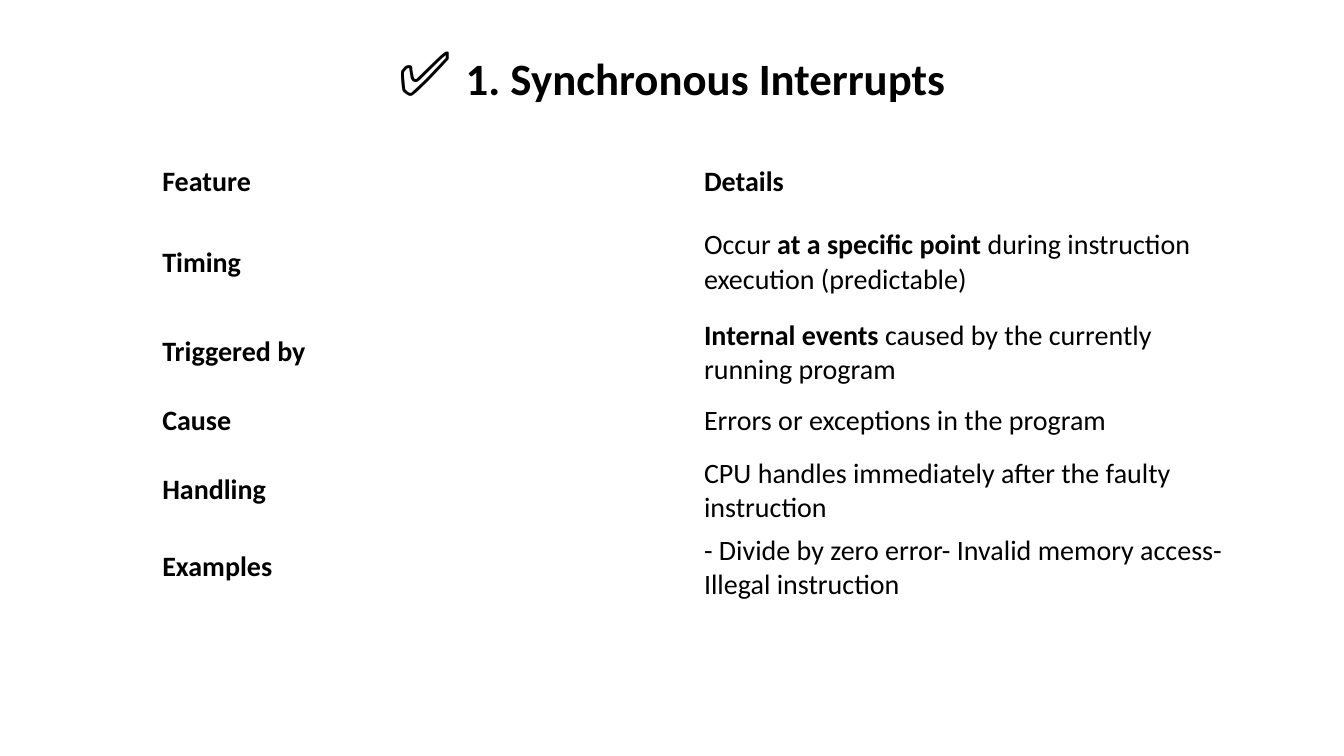
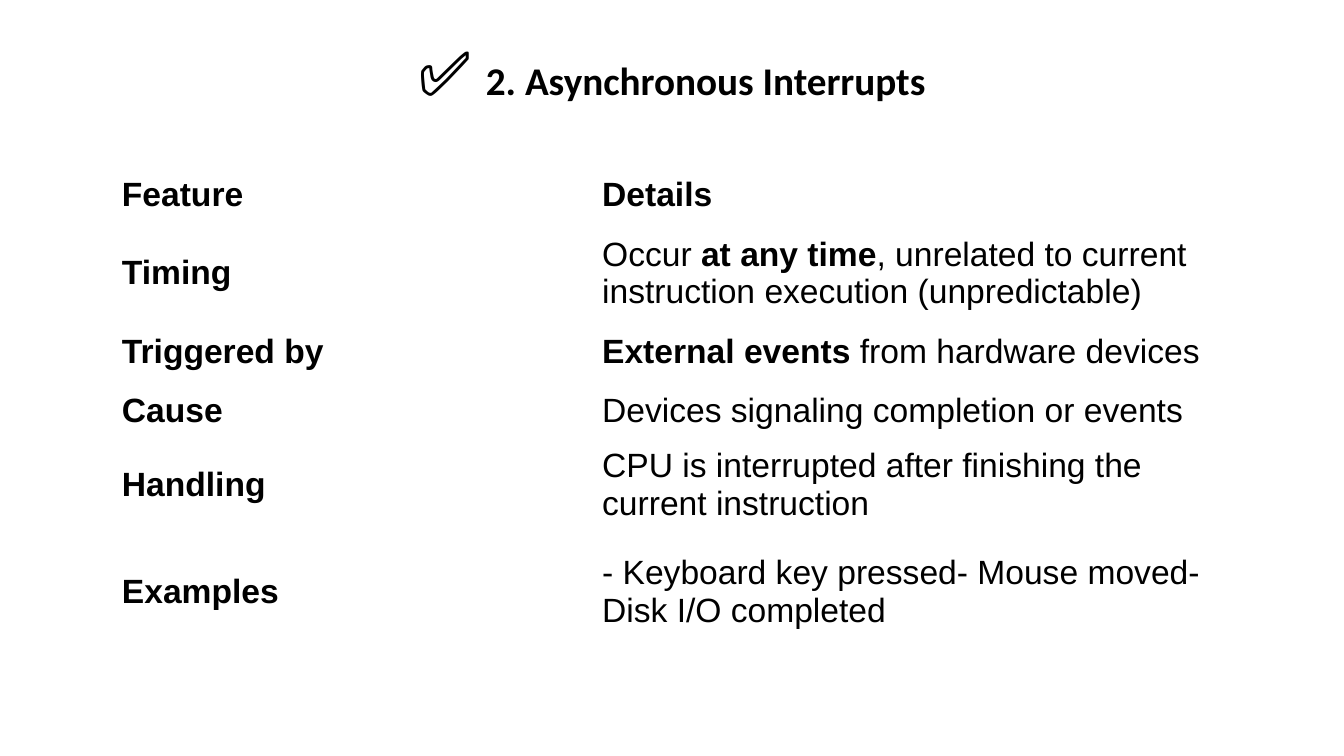
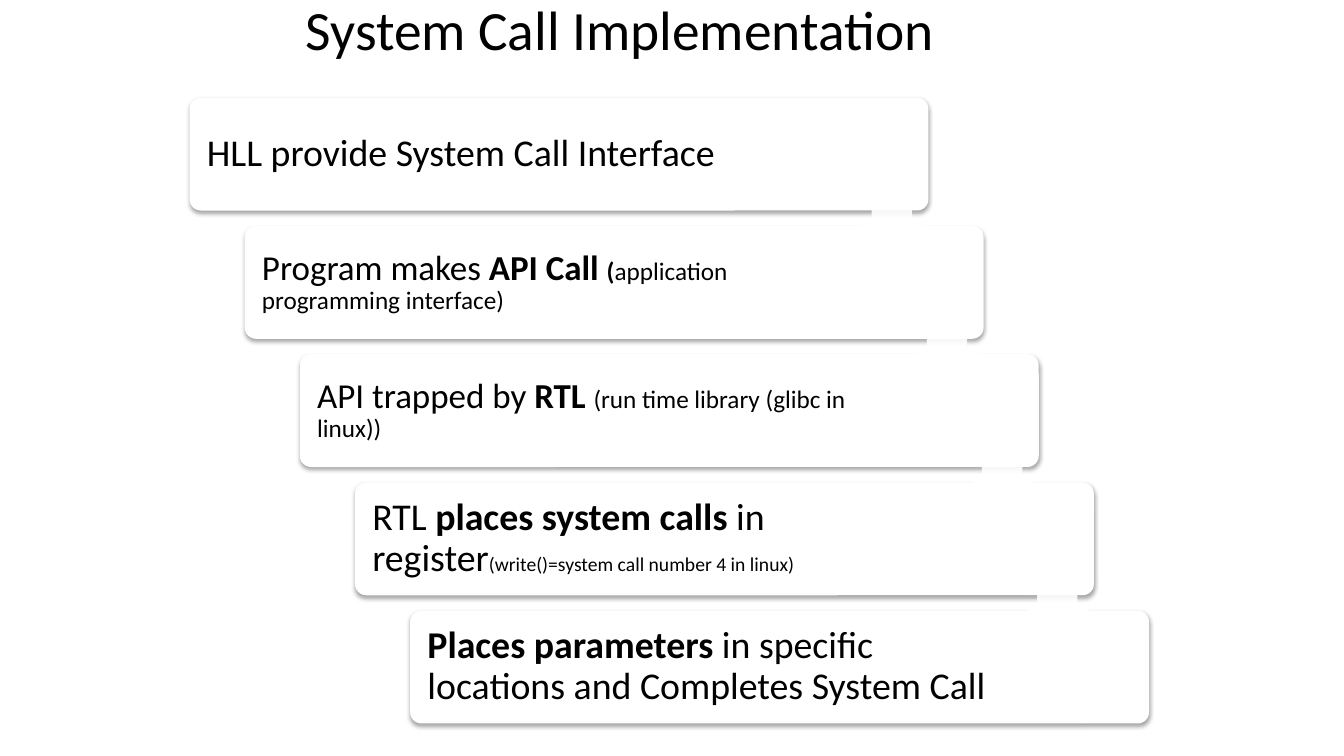
from lxml import etree
from pptx import Presentation
from pptx import util as u
from pptx.dml import color
from pptx.enum import shapes, text
from pptx.oxml import ns

BLACK = "000000"
WHITE = "FFFFFF"
BODY_FONT = "Calibri"
TITLE_BOX = (52.6, 5.8, 854.6, 74.9)

SYNCHRONOUS_ROWS = [
    ("*Feature*", "*Details*"),
    ("*Timing*", "Occur *at a specific point* during instruction execution (predictable)"),
    ("*Triggered by*", "*Internal events* caused by the currently running program"),
    ("*Cause*", "Errors or exceptions in the program"),
    ("*Handling*", "CPU handles immediately after the faulty instruction"),
    ("*Examples*", "- Divide by zero error- Invalid memory access- Illegal instruction"),
]
ASYNCHRONOUS_ROWS = [
    ("*Feature*", "*Details*"),
    ("*Timing*", "Occur *at any time*, unrelated to current instruction execution (unpredictable)"),
    ("*Triggered by*", "*External events* from hardware devices"),
    ("*Cause*", "Devices signaling completion or events"),
    ("*Handling*", "CPU is interrupted after finishing the current instruction"),
    ("*Examples*", "- Keyboard key pressed- Mouse moved- Disk I/O completed"),
]
CALL_STEPS = [
    [("HLL provide System Call Interface", 27, False)],
    [("Program makes ", 25, False), ("API Call ", 25, True), ("(", 18, True),
     ("application programming interface)", 18, False)],
    [("API trapped by ", 25, False), ("RTL ", 25, True),
     ("(run time library (glibc in linux))", 18, False)],
    [("RTL ", 27, False), ("places system calls", 27, True), (" in register", 27, False),
     ("(write()=system call number 4 in linux)", 14, False)],
    [("Places parameters", 27, True),
     (" in specific locations and Completes System Call", 27, False)],
]


def rgb(value):
    return color.RGBColor.from_string(value)


def points(values):
    return [u.Pt(value) for value in values]


def write_spans(para, spans, font=BODY_FONT):
    for words, size, bold in spans:
        span = para.add_run()
        span.text = words
        span.font.name = font
        span.font.size = u.Pt(size)
        span.font.bold = bold
        span.font.color.rgb = rgb(BLACK)


def emphasised(words, size):
    parts = words.split("*")
    return [(part, size, index % 2 == 1) for index, part in enumerate(parts) if part]


def add_title(page, box, spans):
    frame = page.shapes.add_textbox(*points(box)).text_frame
    frame.word_wrap = True
    frame.vertical_anchor = text.MSO_ANCHOR.BOTTOM
    para = frame.paragraphs[0]
    para.alignment = text.PP_ALIGN.CENTER
    write_spans(para, spans)


def add_feature_table(page, left, top, widths, heights, rows, font, size):
    table = page.shapes.add_table(
        len(rows), len(widths), *points((left, top, sum(widths), sum(heights)))).table
    table.first_row = False
    table.horz_banding = False
    for column, width in zip(table.columns, widths):
        column.width = u.Pt(width)
    for row, height, entries in zip(table.rows, heights, rows):
        row.height = u.Pt(height)
        for cell, words in zip(row.cells, entries):
            cell.fill.background()
            cell.vertical_anchor = text.MSO_ANCHOR.MIDDLE
            write_spans(cell.text_frame.paragraphs[0], emphasised(words, size), font)


def add_white_shape(page, kind, box, adjustments):
    shape = page.shapes.add_shape(kind, *points(box))
    for index, value in enumerate(adjustments):
        shape.adjustments[index] = value
    shape.shadow.inherit = False
    shape.fill.solid()
    shape.fill.fore_color.rgb = rgb(WHITE)
    shape.line.fill.background()
    return shape


def add_alpha(colour, percent):
    etree.SubElement(colour, ns.qn("a:alpha"), val=str(percent * 1000))


def add_soft_shadow(shape):
    effects = shape.element.spPr.find(ns.qn("a:effectLst"))
    shadow = etree.SubElement(
        effects, ns.qn("a:outerShdw"), blurRad=str(u.Pt(3.1)), dist=str(u.Pt(1.8)),
        dir="5400000", rotWithShape="0")
    add_alpha(etree.SubElement(shadow, ns.qn("a:srgbClr"), val=BLACK), 35)


def add_step_card(page, box, spans):
    card = add_white_shape(page, shapes.MSO_SHAPE.ROUNDED_RECTANGLE, box, [0.1])
    add_soft_shadow(card)
    frame = card.text_frame
    frame.word_wrap = True
    frame.vertical_anchor = text.MSO_ANCHOR.MIDDLE
    frame.margin_left = u.Pt(10)
    frame.margin_right = u.Pt(101)
    para = frame.paragraphs[0]
    para.alignment = text.PP_ALIGN.LEFT
    para.line_spacing = 0.9
    write_spans(para, spans)


def add_step_arrow(page, box):
    arrow = add_white_shape(page, shapes.MSO_SHAPE.DOWN_ARROW, box, [0.55, 0.45])
    add_alpha(arrow.element.spPr.find(".//" + ns.qn("a:srgbClr")), 90)


def add_staircase(page, left, top, steps):
    width, height = 527.8, 80.6
    step_right, step_down = 39.4, 91.6
    arrow_side, arrow_drop = 52.4, 58.5
    corners = [(left + index * step_right, top + index * step_down)
               for index in range(len(steps))]
    for (x, y), spans in zip(corners, steps):
        add_step_card(page, (x, y, width, height), spans)
    for x, y in corners[:-1]:
        add_step_arrow(
            page, (x + width - arrow_side, y + arrow_drop, arrow_side, arrow_side))


def add_interrupt_page(page, heading, heading_size, **table):
    add_title(page, TITLE_BOX, [("✅ ", 44, False), (heading, heading_size, True)])
    add_feature_table(page, **table)


def add_system_call_page(page):
    add_staircase(page, 135.4, 69.8, CALL_STEPS)
    add_title(page, (147.6, 8.6, 590.4, 38.9),
              [("System Call Implementation", 39.6, False)])


def main():
    deck = Presentation()
    deck.slide_width, deck.slide_height = points((960, 540))
    blank = deck.slide_layouts[6]
    add_interrupt_page(
        deck.slides.add_slide(blank), "1. Synchronous Interrupts", 32,
        left=108.7, top=108, widths=[387, 387],
        heights=[43.2, 72.7, 43.2, 43.2, 43.2, 43.2],
        rows=SYNCHRONOUS_ROWS, font=BODY_FONT, size=20)
    add_interrupt_page(
        deck.slides.add_slide(blank), "2. Asynchronous Interrupts", 28,
        left=79.9, top=118.1, widths=[343, 478.4],
        heights=[41.8, 70.6, 41.8, 41.8, 41.8, 87.8],
        rows=ASYNCHRONOUS_ROWS, font="Arial", size=24)
    add_system_call_page(deck.slides.add_slide(blank))
    deck.save("out.pptx")


if __name__ == "__main__":
    main()
